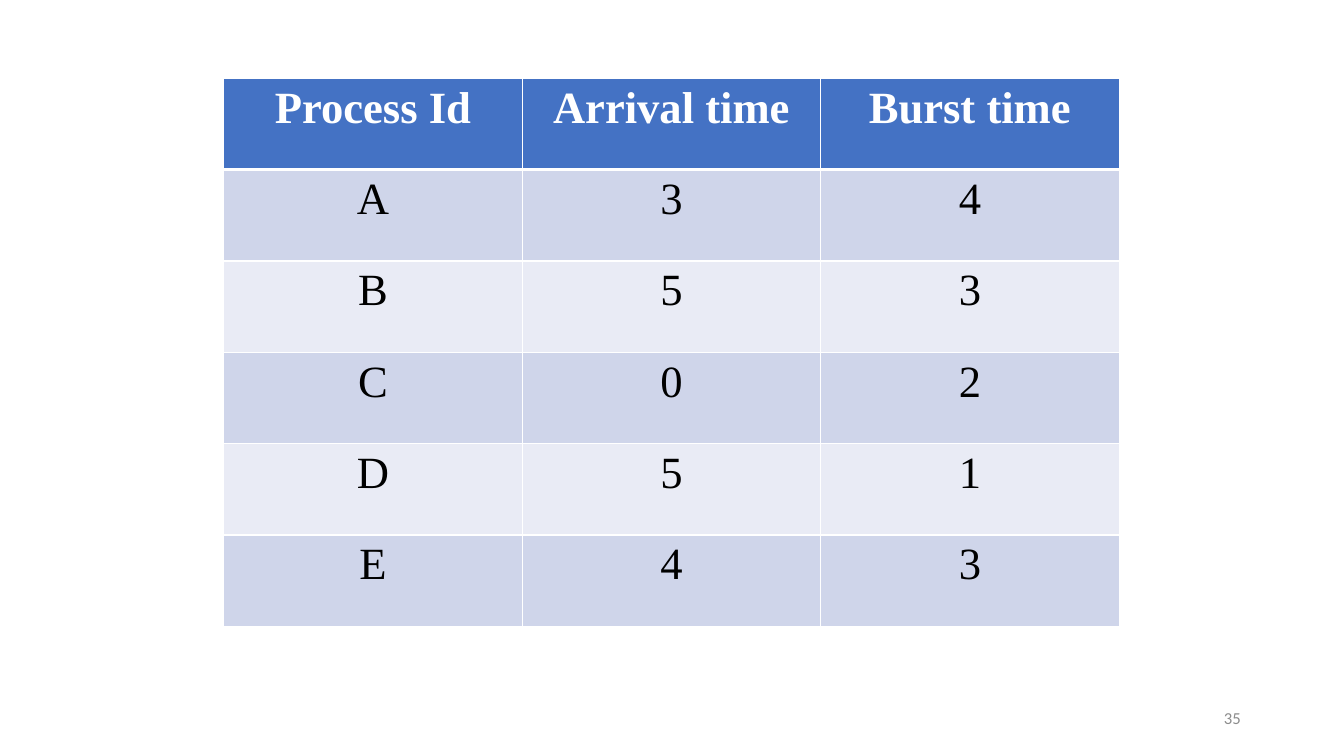
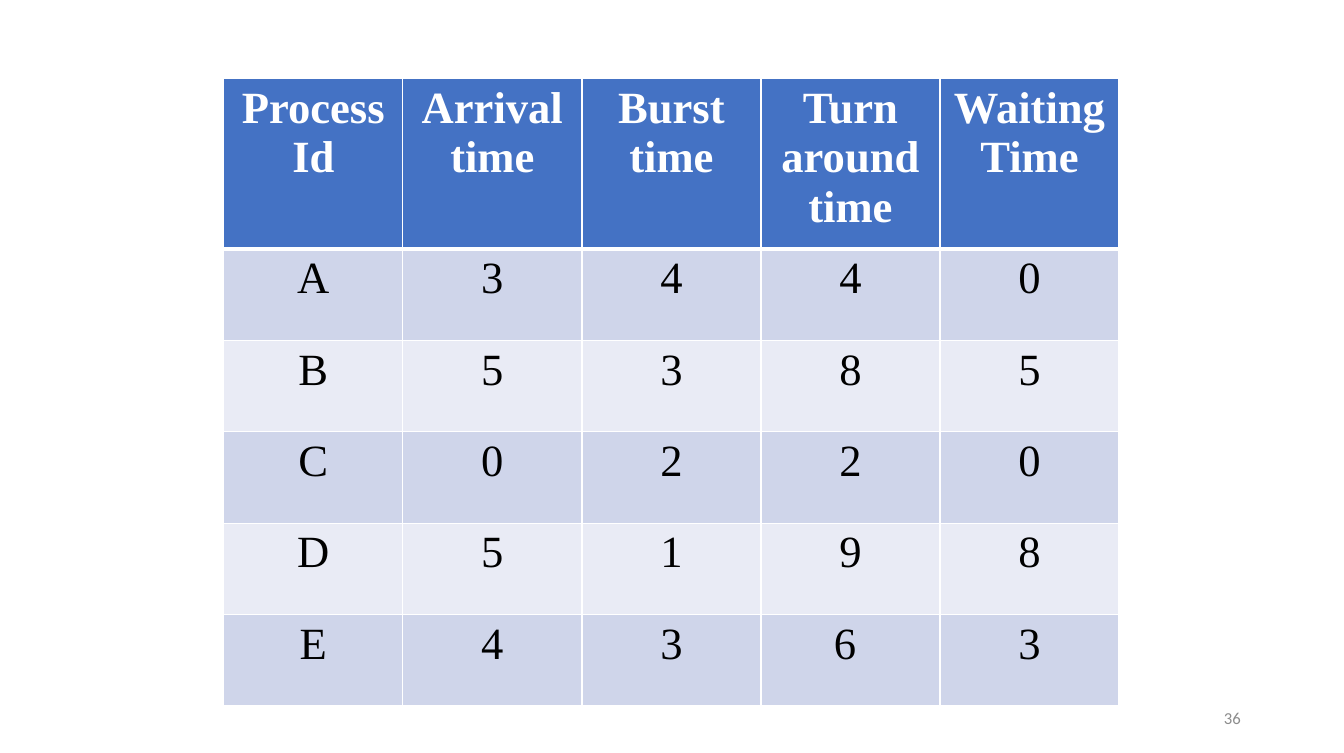
from lxml import etree
from pptx import Presentation
from pptx import util as u
from pptx.dml.color import RGBColor
from pptx.enum import text
from pptx.oxml import ns

WIDE, HIGH = u.Inches(13.39), u.Inches(7.5)
WHITE = RGBColor(0xFF, 0xFF, 0xFF)
BLACK = RGBColor(0x00, 0x00, 0x00)
BLUE = RGBColor(0x44, 0x72, 0xC4)
BANDS = RGBColor(0xE9, 0xEB, 0xF5), RGBColor(0xCF, 0xD5, 0xEA)
GREY = RGBColor(0x8C, 0x8C, 0x8C)

GRID = u.Inches(2.23), u.Inches(0.78), u.Inches(8.92)
ROW = u.Inches(0.91)
FOOTER = u.Inches(9.45), u.Inches(6.95), u.Inches(3.01), u.Inches(0.4)

HEADS = ["Process Id", "Arrival time", "Burst time",
         "Turn around time", "Waiting Time"]
TASKS = [
    ["A", "3", "4", "4", "0"],
    ["B", "5", "3", "8", "5"],
    ["C", "0", "2", "2", "0"],
    ["D", "5", "1", "9", "8"],
    ["E", "4", "3", "6 ", "3"],
]


def write(para, words, align, face, size, color, bold=False):
    para.text = words
    para.alignment = align
    font = para.runs[0].font
    font.name, font.size, font.bold = face, u.Pt(size), bold
    font.color.rgb = color


def border(cell, row):
    props = cell._tc.get_or_add_tcPr()
    widths = {"L": 1, "R": 1, "T": 3 if row == 1 else 1, "B": 3 if row == 0 else 1}
    for side, width in widths.items():
        line = etree.SubElement(props, ns.qn(f"a:ln{side}"), w=str(u.Pt(width)))
        fill = etree.SubElement(line, ns.qn("a:solidFill"))
        etree.SubElement(fill, ns.qn("a:srgbClr"), val=str(WHITE))


def add_grid(slide, box, rows):
    left, top, width = box
    count = len(rows[0])
    table = slide.shapes.add_table(
        len(rows), count, left, top, width, ROW * len(rows)).table
    for col in table.columns:
        col.width = width // count
    for r, values in enumerate(rows):
        table.rows[r].height = ROW
        head = r == 0
        for c, value in enumerate(values):
            cell = table.cell(r, c)
            border(cell, r)
            cell.fill.solid()
            cell.fill.fore_color.rgb = BLUE if head else BANDS[r % 2]
            write(cell.text_frame.paragraphs[0], value, text.PP_ALIGN.CENTER,
                  "Times New Roman", 32, WHITE if head else BLACK, head)


def add_footer(slide, box, number):
    frame = slide.shapes.add_textbox(*box).text_frame
    frame.word_wrap = True
    frame.vertical_anchor = text.MSO_ANCHOR.MIDDLE
    write(frame.paragraphs[0], str(number), text.PP_ALIGN.RIGHT,
          "Calibri", 12, GREY)


def add_page(deck, number, count):
    slide = deck.slides.add_slide(deck.slide_layouts[6])
    add_footer(slide, FOOTER, number)
    add_grid(slide, GRID, [row[:count] for row in [HEADS, *TASKS]])


def main():
    deck = Presentation()
    deck.slide_width, deck.slide_height = WIDE, HIGH
    for number, count in ((35, 3), (36, 5)):
        add_page(deck, number, count)
    deck.save("out.pptx")


if __name__ == "__main__":
    main()
